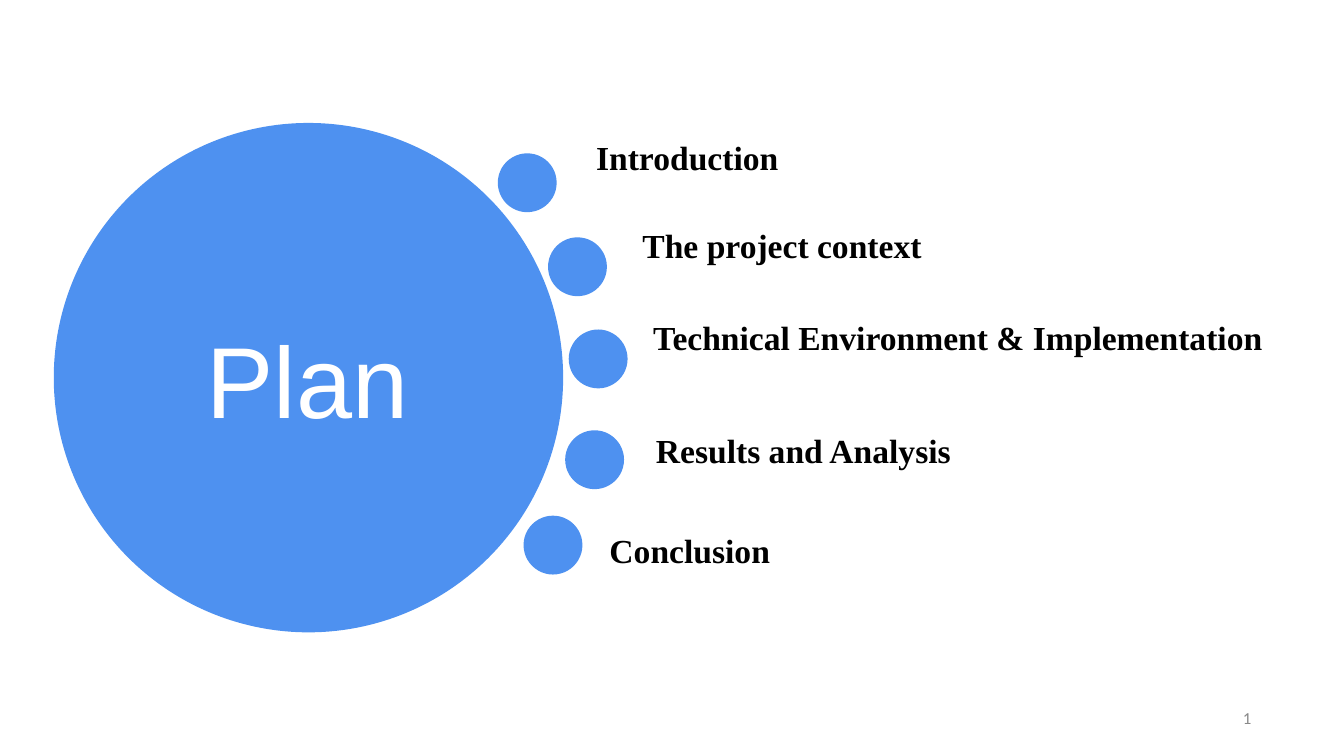
from math import cos, radians, sin

from pptx import Presentation
from pptx.dml.color import RGBColor
from pptx.enum.shapes import MSO_SHAPE as Shape
from pptx.enum.text import MSO_ANCHOR as Anchor, PP_ALIGN as Align
from pptx.util import Inches, Pt

COLORS = {"blue": "4E91F0", "white": "FFFFFF", "black": "000000", "gray": "898989"}

# All lengths are in columns; the slide is 100 columns wide.
WIDE, HIGH = 20, 11.25
COL = WIDE / 100
HUB = (22.95, 28.1)
HUB_SIZE, DOT_SIZE = 37.9, 4.38

# Label, dot angle in degrees, dot distance from the hub, label box
TOPICS = [
    ("Introduction", -41.7, 21.8, (44.35, 10.2, 14.2, 3.75)),
    ("The project context", -22.4, 21.65, (47.8, 16.7, 51.9, 3.45)),
    ("Technical Environment & Implementation", -3.7, 21.6, (48.6, 23.55, 47.45, 3.45)),
    ("Results and Analysis", 16, 22.15, (48.8, 31.95, 25.9, 3.45)),
    ("Conclusion", 34.4, 22.05, (45.35, 39.45, 15.15, 6.1)),
]


def cols(*nums):
    return [Inches(n * COL) for n in nums]


def disc(slide, x, y, size):
    """Draw a blue circle centred on x, y."""
    shape = slide.shapes.add_shape(
        Shape.OVAL, *cols(x - size / 2, y - size / 2, size, size))
    shape.shadow.inherit = False
    shape.fill.solid()
    shape.fill.fore_color.rgb = RGBColor.from_string(COLORS["blue"])
    shape.line.fill.background()


def write(slide, text, box, size, face, color, lead,
          bold=False, align=Align.LEFT, anchor=Anchor.TOP):
    """Add one line of text, with lead as its line height in points."""
    frame = slide.shapes.add_textbox(*cols(*box)).text_frame
    frame.word_wrap = True
    frame.vertical_anchor = anchor
    frame.margin_left = frame.margin_right = 0
    frame.margin_top = frame.margin_bottom = 0
    para = frame.paragraphs[0]
    para.alignment = align
    para.line_spacing = Pt(lead)
    run = para.add_run()
    run.text = text
    font = run.font
    font.name, font.size, font.bold = face, Pt(size), bold
    font.color.rgb = RGBColor.from_string(COLORS[color])


def main():
    deck = Presentation()
    deck.slide_width, deck.slide_height = Inches(WIDE), Inches(HIGH)
    slide = deck.slides.add_slide(deck.slide_layouts[6])

    disc(slide, *HUB, HUB_SIZE)
    write(slide, "Plan", (9.6, 12.4, 26.55, 32.45), 108, "Arial", "white", 116.6,
          align=Align.CENTER, anchor=Anchor.MIDDLE)
    for label, angle, dist, box in TOPICS:
        turn = radians(angle)
        disc(slide, HUB[0] + dist * cos(turn), HUB[1] + dist * sin(turn), DOT_SIZE)
        write(slide, label, box, 36, "Times New Roman", "black", 43.2, bold=True)
    write(slide, "1", (70.6, 51.65, 22.5, 3.45), 18, "Calibri", "gray", 21.6,
          align=Align.RIGHT, anchor=Anchor.MIDDLE)

    deck.save("out.pptx")


if __name__ == "__main__":
    main()
